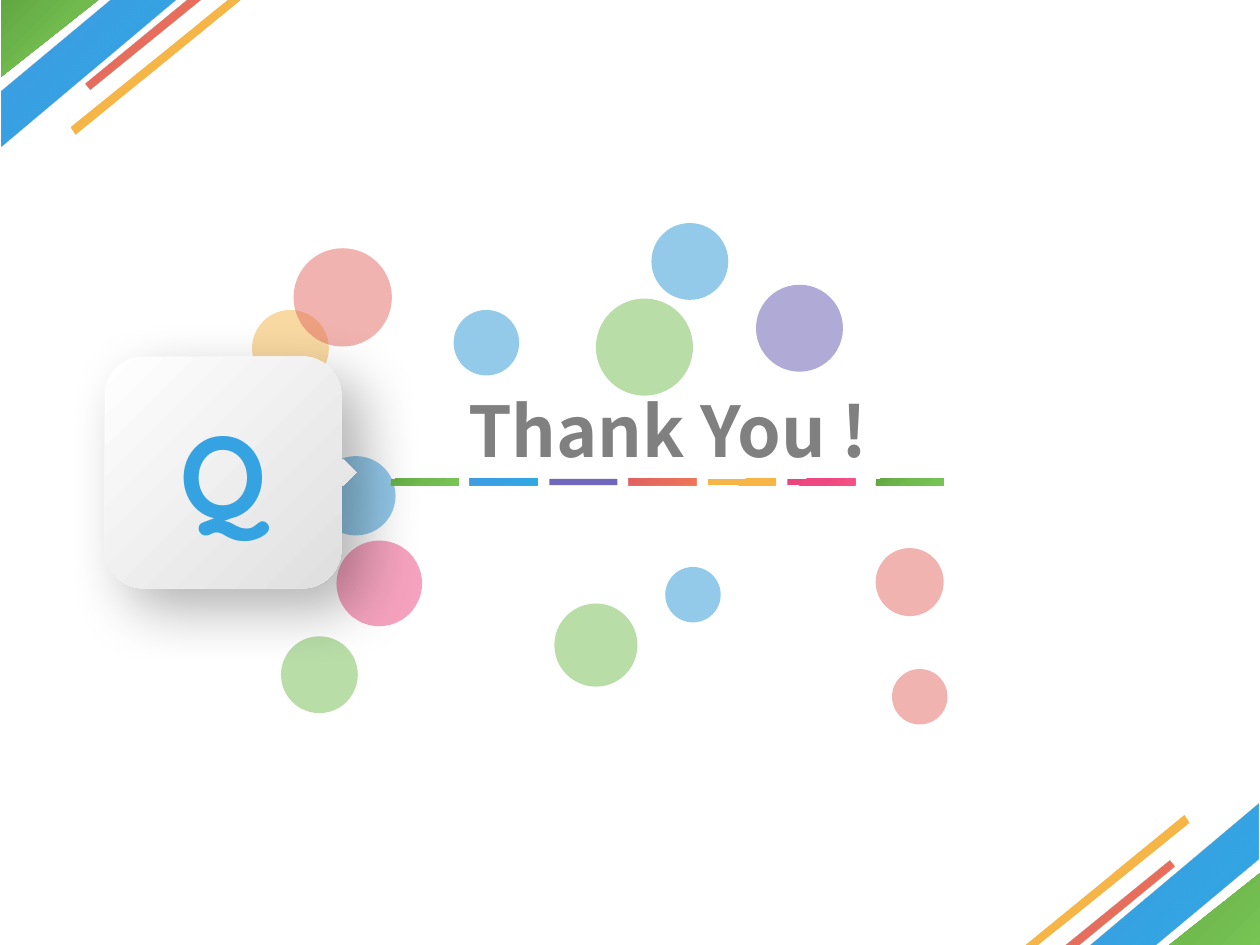
"""Build a closing thank-you slide with corner stripes, bubbles and a badge."""
from math import cos, radians, sin

from lxml.etree import SubElement
from pptx import Presentation
from pptx.dml.color import RGBColor
from pptx.enum.shapes import MSO_SHAPE
from pptx.enum.text import MSO_ANCHOR, MSO_AUTO_SIZE, PP_ALIGN
from pptx.oxml.ns import qn
from pptx.util import Inches, Pt

WIDTH, HEIGHT = 10, 7.5
CORNER_HEIGHT = 7.54

COLORS = {
    "green": "73BD51", "blue": "2995D4", "coral": "E36860", "pink": "ED477F",
    "amber": "F5B547", "purple": "6158AE", "violet": "6057B6",
    "letter": "35A2E1", "title": "808080", "shadow": "000000",
}
GRADIENTS = {
    "green": ("78C556", "70BA4E", "61A742"),
    "blue": ("19A2DF", "2399E0", "2D91E0"),
    "coral": ("F06A48", "E65F4D", "DC5153"),
    "amber": ("F5B647", "F5B547", "F5B547"),
    "pink": ("F55284", "ED487F", "EB457D"),
    "badge": ("FFFFFF", "DEDEDE"),
}
OPACITY = {"blue": 90, "coral": 90, "violet": 90}

STRIPES = [
    ("blue", [(0.01, 1.16), (1.4, 0), (0.88, 0), (0.01, 0.72)]),
    ("coral", [(0.72, 0.71), (1.6, 0), (1.49, 0), (0.68, 0.66)]),
    ("amber", [(0.6, 1.07), (1.91, 0), (1.81, 0), (0.56, 1.01)]),
]
BUBBLES = [
    ("green", 4.4, 4.79, 0.66), ("blue", 5.28, 4.5, 0.44),
    ("coral", 7.08, 5.31, 0.44), ("pink", 2.67, 4.29, 0.68),
    ("green", 4.73, 2.37, 0.77), ("coral", 6.95, 4.35, 0.54),
    ("blue", 3.6, 2.46, 0.52), ("green", 2.23, 5.05, 0.61),
    ("blue", 2.51, 3.62, 0.63), ("amber", 2, 2.46, 0.61),
    ("purple", 6, 2.26, 0.69), ("blue", 5.17, 1.77, 0.61),
    ("coral", 2.33, 1.97, 0.78),
]
BARS = ["green", "blue", "violet", "coral", "amber", "pink"]
BAR_LEFT, BAR_TOP, BAR_PITCH, BAR_WIDTH, BAR_HEIGHT = 3.1, 3.8, 0.63, 0.54, 0.05
LAST_BAR_LEFT = 6.95

BADGE_LEFT, BADGE_TOP, BADGE_RIGHT, BADGE_BOTTOM = 0.83, 2.83, 2.71, 4.67
BADGE_RADIUS = 0.31
POINTER = [(2.71, 3.65), (2.73, 3.65), (2.83, 3.75), (2.73, 3.85), (2.71, 3.85)]


def add_color(parent, color, opacity):
    element = SubElement(parent, qn("a:srgbClr"), val=color)
    if opacity < 100:
        SubElement(element, qn("a:alpha"), val=str(opacity * 1000))


def paint_solid(shape, color, opacity=100):
    shape.shadow.inherit = False
    shape.line.fill.background()
    shape.fill.solid()
    solid = shape._element.spPr.find(qn("a:solidFill"))
    add_color(solid, color, opacity)


def paint_gradient(shape, name, angle=None):
    paint_solid(shape, GRADIENTS[name][0])
    properties = shape._element.spPr
    solid = properties.find(qn("a:solidFill"))
    gradient = SubElement(properties, qn("a:gradFill"), rotWithShape="1")
    properties.replace(solid, gradient)
    stops = SubElement(gradient, qn("a:gsLst"))
    colors = GRADIENTS[name]
    for index, color in enumerate(colors):
        position = 100000 * index // (len(colors) - 1)
        stop = SubElement(stops, qn("a:gs"), pos=str(position))
        add_color(stop, color, OPACITY.get(name, 100))
    if angle is None:
        route = SubElement(gradient, qn("a:path"), path="circle")
        SubElement(route, qn("a:fillToRect"), l="100000", t="100000")
    else:
        SubElement(gradient, qn("a:lin"), ang=str(angle * 60000), scaled="0")


def add_preset(slide, kind, left, top, width, height):
    return slide.shapes.add_shape(kind, *map(Inches, (left, top, width, height)))


def add_polygon(slide, points):
    corners = [(Inches(x), Inches(y)) for x, y in points]
    builder = slide.shapes.build_freeform(*corners[0])
    builder.add_line_segments(corners[1:], close=True)
    return builder.convert_to_shape()


def add_text(slide, text, *, box, size, font, color, wrap):
    shape = slide.shapes.add_textbox(*map(Inches, box))
    frame = shape.text_frame
    frame.word_wrap = wrap
    frame.auto_size = MSO_AUTO_SIZE.SHAPE_TO_FIT_TEXT
    frame.vertical_anchor = MSO_ANCHOR.MIDDLE
    paragraph = frame.paragraphs[0]
    paragraph.alignment = PP_ALIGN.CENTER
    run = paragraph.add_run()
    run.text = text
    run.font.size, run.font.name, run.font.bold = Pt(size), font, True
    run.font.color.rgb = RGBColor.from_string(COLORS[color])


def add_corner(slide, opposite):
    left, top, width, height = 0.01, 0, 0.77, 0.61
    if opposite:
        left, top = WIDTH - width, CORNER_HEIGHT - height
    triangle = add_preset(slide, MSO_SHAPE.RIGHT_TRIANGLE, left, top, width, height)
    triangle._element.spPr.xfrm.set("flipH" if opposite else "flipV", "1")
    paint_gradient(triangle, "green")
    for name, points in STRIPES:
        if opposite:
            points = [(WIDTH - x, CORNER_HEIGHT - y) for x, y in points]
        paint_gradient(add_polygon(slide, points), name)


def corner_arc(x, y, start):
    angles = [radians(start + step) for step in range(0, 91, 5)]
    return [(x + BADGE_RADIUS * cos(a), y + BADGE_RADIUS * sin(a)) for a in angles]


def add_badge(slide):
    left, right = BADGE_LEFT + BADGE_RADIUS, BADGE_RIGHT - BADGE_RADIUS
    top, bottom = BADGE_TOP + BADGE_RADIUS, BADGE_BOTTOM - BADGE_RADIUS
    outline = (corner_arc(left, top, 180) + corner_arc(right, top, 270) + POINTER
               + corner_arc(right, bottom, 0) + corner_arc(left, bottom, 90))
    badge = add_polygon(slide, outline)
    paint_gradient(badge, "badge", angle=45)
    effects = badge._element.spPr.find(qn("a:effectLst"))
    shadow = SubElement(effects, qn("a:outerShdw"), blurRad=str(Pt(34)),
                        dist=str(Pt(17)), dir=str(45 * 60000),
                        algn="tl", rotWithShape="0")
    add_color(shadow, COLORS["shadow"], 30)


def main():
    presentation = Presentation()
    presentation.slide_width, presentation.slide_height = Inches(WIDTH), Inches(HEIGHT)
    slide = presentation.slides.add_slide(presentation.slide_layouts[6])
    for opposite in (False, True):
        add_corner(slide, opposite)
    for name, left, top, size in BUBBLES:
        bubble = add_preset(slide, MSO_SHAPE.OVAL, left, top, size, size)
        paint_solid(bubble, COLORS[name], 50)
    add_badge(slide)
    add_text(slide, "Q", box=(1.23, 3.09, 1.08, 1.32), size=66,
             font="Quicksand", color="letter", wrap=False)
    add_text(slide, "Thank You !", box=(2.77, 3.02, 5.06, 0.77), size=40,
             font="Noto Sans CJK SC", color="title", wrap=True)
    bars = [(name, BAR_LEFT + BAR_PITCH * index) for index, name in enumerate(BARS)]
    for name, left in bars + [("green", LAST_BAR_LEFT)]:
        bar = add_preset(slide, MSO_SHAPE.RECTANGLE, left, BAR_TOP, BAR_WIDTH, BAR_HEIGHT)
        if name in GRADIENTS:
            paint_gradient(bar, name)
        else:
            paint_solid(bar, COLORS[name], OPACITY[name])
    presentation.save("out.pptx")


if __name__ == "__main__":
    main()
